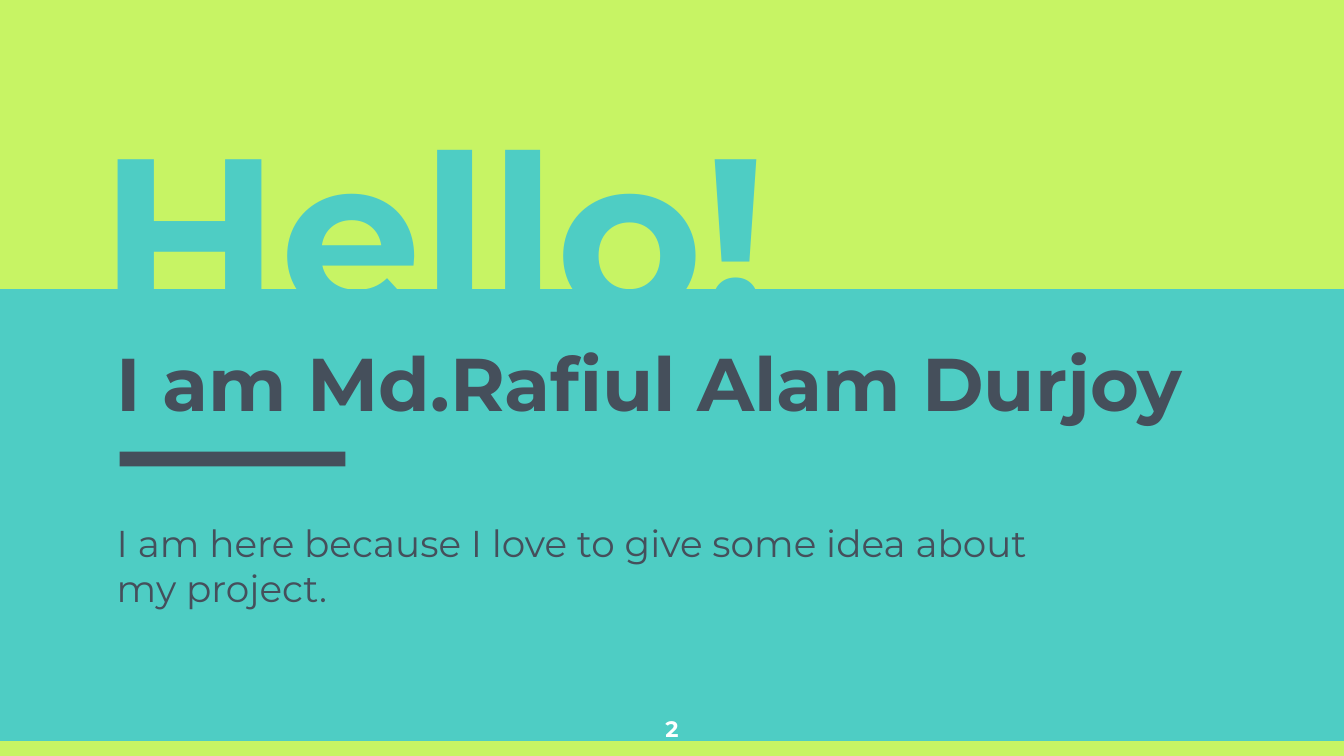
from pptx import Presentation
from pptx.dml.color import RGBColor
from pptx.enum.shapes import MSO_SHAPE
from pptx.enum.text import MSO_ANCHOR, MSO_AUTO_SIZE, PP_ALIGN
from pptx.util import Inches, Pt

HUES = {"teal": "4ECDC4", "lime": "C7F464", "slate": "454F5B", "white": "FFFFFF"}
FONT = "Montserrat"
WIDE = 10
HIGH = WIDE * 9 / 16
EDGE = 0.11

BANDS = [
    ((0, HIGH - EDGE, WIDE, EDGE), "lime"),
    ((0, 0, WIDE, 2.15), "lime"),
    ((0.89, 3.36, 1.68, EDGE), "slate"),
]
TITLE = ("Hello!", (0.64, 1.52, 5.5, 1.27),
         dict(size=120, hue="teal", bold=True, anchor=MSO_ANCHOR.BOTTOM))
TEXTS = [
    ("I am Md.Rafiul Alam Durjoy", (0.77, 2.41, 8.45, 0.69),
     dict(size=40, bold=True, before=6)),
    ("I am here because I love to give some idea about my project.",
     (0.77, 3.77, 7.29, 1.55), dict(size=20)),
    ("2", (4.7, 5.22, 0.6, 0.34),
     dict(size=12, hue="white", bold=True, align=PP_ALIGN.CENTER)),
]


def color(name):
    """Return the named colour."""
    return RGBColor.from_string(HUES[name])


def lengths(box):
    """Turn a box in inches into lengths."""
    return [Inches(n) for n in box]


def add_band(slide, box, hue):
    """Draw a plain filled bar."""
    band = slide.shapes.add_shape(MSO_SHAPE.RECTANGLE, *lengths(box))
    band.shadow.inherit = False
    band.fill.solid()
    band.fill.fore_color.rgb = color(hue)
    band.line.fill.background()


def write(shape, text, size=20, hue="slate", bold=False, before=0,
          align=PP_ALIGN.LEFT, anchor=MSO_ANCHOR.TOP):
    """Put formatted text into a shape."""
    frame = shape.text_frame
    frame.word_wrap = True
    frame.auto_size = MSO_AUTO_SIZE.NONE
    frame.vertical_anchor = anchor
    for side in ("left", "top", "right", "bottom"):
        setattr(frame, "margin_" + side, Inches(0.1))
    para = frame.paragraphs[0]
    para.alignment = align
    para.line_spacing = 1.0
    para.space_before = Pt(before)
    run = para.add_run()
    run.text = text
    run.font.name = FONT
    run.font.size = Pt(size)
    run.font.bold = bold
    run.font.color.rgb = color(hue)


def build():
    """Build and save the slide."""
    deck = Presentation()
    deck.slide_width, deck.slide_height = Inches(WIDE), Inches(HIGH)
    slide = deck.slides.add_slide(deck.slide_layouts[5])
    slide.background.fill.solid()
    slide.background.fill.fore_color.rgb = color("teal")
    for box, hue in BANDS:
        add_band(slide, box, hue)

    title = slide.shapes.title
    text, box, style = TITLE
    title.left, title.top, title.width, title.height = lengths(box)
    write(title, text, **style)
    # The title sits in front of the lime band.
    slide.shapes._spTree.append(title._element)

    for text, box, style in TEXTS:
        write(slide.shapes.add_textbox(*lengths(box)), text, **style)
    deck.save("out.pptx")


build()
